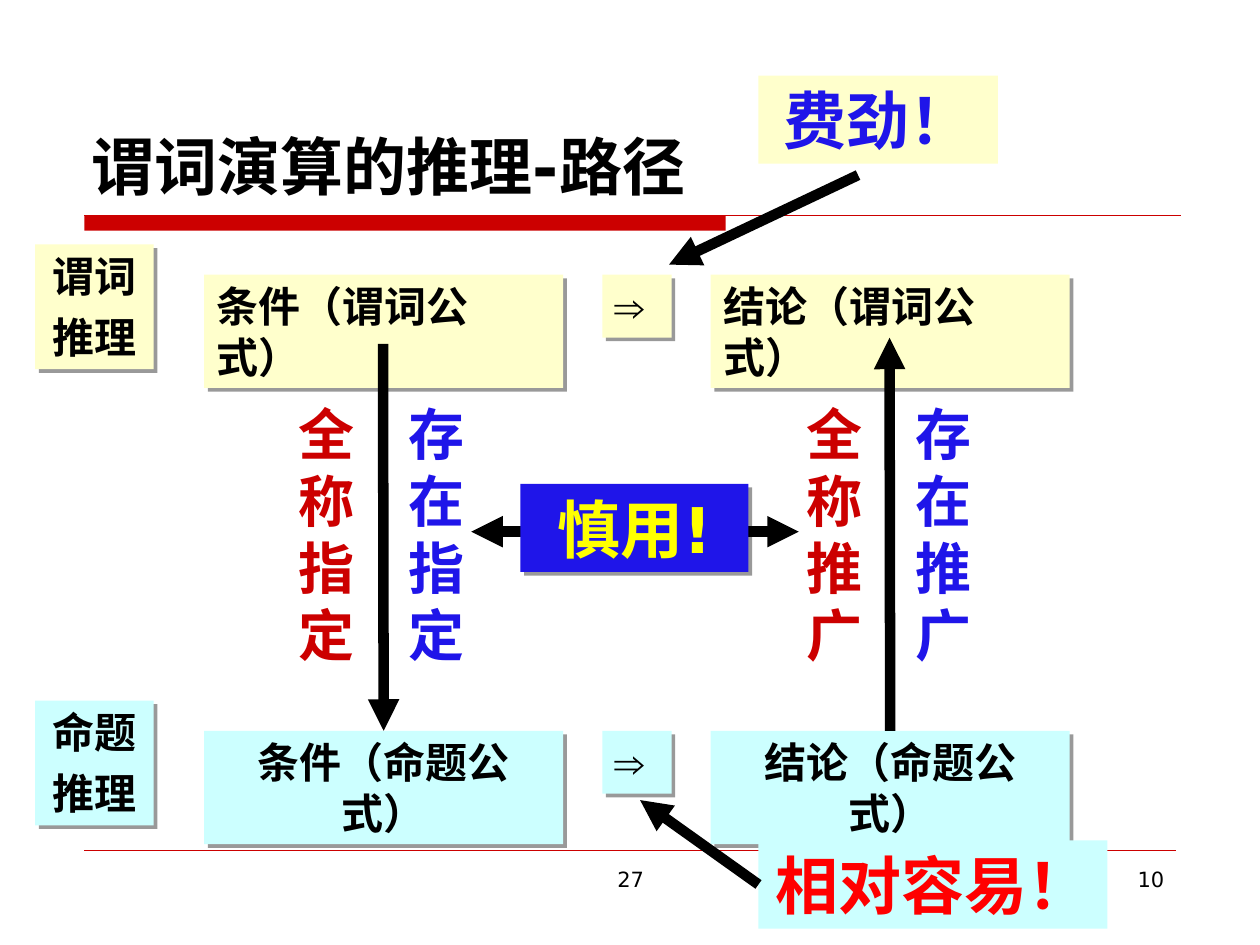
from lxml.etree import SubElement
from pptx import Presentation
from pptx.dml.color import RGBColor
from pptx.enum.shapes import MSO_CONNECTOR as Connector, MSO_SHAPE as Shape
from pptx.enum.text import MSO_ANCHOR as Anchor, MSO_AUTO_SIZE as AutoSize, PP_ALIGN as Align
from pptx.oxml.ns import qn
from pptx.util import Inches, Pt

THEME = {
    "font": "DejaVu Sans", "symbol_font": "Arial",
    "black": "000000", "red": "CC0000", "bright_red": "FF0000",
    "blue": "1F15E9", "yellow": "FFFF00", "cream": "FFFFCC", "aqua": "CCFFFF",
    "title": 36, "callout": 36, "vertical": 32, "box": 24, "footer": 12,
}

# Content
TITLE = "谓词演算的推理-路径"
BOX_W, BOX_H, SIGN_W, SIGN_H = 2.85, 0.9, 0.55, 0.5
LEFT_X, SIGN_X, RIGHT_X = 1.62, 4.78, 5.64
ROWS = [  # name, fill, alignment, top, side label top, condition, conclusion, side label
    ("predicate", "cream", Align.LEFT, 2.18, 1.94,
     "条件（谓词公式）", "结论（谓词公式）", "谓词\n推理"),
    ("proposition", "aqua", Align.CENTER, 5.8, 5.56,
     "条件（命题公式）", "结论（命题公式）", "命题\n推理"),
]
VERTICALS = [  # text, left, colour
    ("全称指定", 2.24, "red"), ("存在指定", 3.11, "blue"),
    ("全称推广", 6.27, "red"), ("存在推广", 7.13, "blue"),
]
CALLOUTS = [  # name, text, place, fill, text colour
    ("hard", "费劲！", (6.02, 0.6, 1.9, 0.7), "cream", "blue"),
    ("easy", "相对容易！", (6.02, 6.67, 2.77, 0.7), "aqua", "bright_red"),
]
FOOTERS = [("27", (3.42, 6.83, 3.17, 0.52), Align.CENTER),
           ("10", (7.17, 6.83, 2.17, 0.52), Align.RIGHT)]


def color(name):
    return RGBColor.from_string(THEME[name])


def write(shape, text, size, ink="black", align=Align.CENTER, bold=True,
          font="font", gap=0, grow=True):
    frame = shape.text_frame
    frame.text = text
    frame.word_wrap = True
    frame.vertical_anchor = Anchor.TOP
    frame.auto_size = AutoSize.SHAPE_TO_FIT_TEXT if grow else AutoSize.NONE
    for index, para in enumerate(frame.paragraphs):
        para.alignment = align
        if index:
            para.space_before = Pt(gap)
        for span in para.runs:
            span.font.name = THEME[font]
            span.font.size = Pt(THEME[size])
            span.font.bold = bold
            span.font.color.rgb = color(ink)


def add_shadow(shape):
    effects = shape._element.spPr.find(qn("a:effectLst"))
    outer = SubElement(effects, qn("a:outerShdw"), dist=str(Pt(3)), dir="2700000",
                       algn="ctr", rotWithShape="0")
    shade = SubElement(outer, qn("a:srgbClr"), val=THEME["black"])
    SubElement(shade, qn("a:alpha"), val="40000")


def add_box(page, place, fill, shadow=True):
    box = page.shapes.add_shape(Shape.RECTANGLE, *map(Inches, place))
    box.fill.solid()
    box.fill.fore_color.rgb = color(fill)
    box.line.fill.background()
    box.shadow.inherit = False
    if shadow:
        add_shadow(box)
    return box


def add_line(page, start, end, width=6, ink="black", heads=()):
    line = page.shapes.add_connector(Connector.STRAIGHT, *map(Inches, start + end))
    line.line.width = Pt(width)
    line.line.color.rgb = color(ink)
    for head in heads:
        SubElement(line.line._get_or_add_ln(), qn("a:" + head), type="triangle")
    SubElement(line._element.spPr, qn("a:effectLst"))
    return line


def main():
    deck = Presentation()
    deck.slide_width, deck.slide_height = Inches(10), Inches(7.5)
    page = deck.slides.add_slide(deck.slide_layouts[5])

    # Title, rules and footers
    title = page.shapes.title
    title.left, title.top, title.width, title.height = map(Inches, (0.63, 0.33, 8.75, 1.33))
    write(title, TITLE, "title", align=Align.LEFT, grow=False)
    title.text_frame.vertical_anchor = Anchor.BOTTOM
    add_box(page, (0.67, 1.71, 5.09, 0.12), "red", shadow=False)
    add_line(page, (0.67, 1.71), (9.37, 1.71), 0.75, "red")
    add_line(page, (0.67, 6.75), (9.33, 6.75), 0.25, "red")
    for text, place, align in FOOTERS:
        footer = page.shapes.add_textbox(*map(Inches, place))
        write(footer, text, "footer", align=align, bold=False, grow=False)

    # Predicate and proposition rows
    boxes = {}
    for name, fill, align, top, side_top, condition, conclusion, side in ROWS:
        for part, text, left in (("condition", condition, LEFT_X),
                                 ("conclusion", conclusion, RIGHT_X)):
            box = add_box(page, (left, top, BOX_W, BOX_H), fill)
            write(box, text, "box", align=align)
            boxes[name, part] = box
        sign = add_box(page, (SIGN_X, top, SIGN_W, SIGN_H), fill)
        write(sign, "⇒", "box", align=Align.LEFT, font="symbol_font")
        label = add_box(page, (0.28, side_top, 0.94, 0.99), fill)
        write(label, side, "box", gap=6)

    # Rules written downwards beside the long arrows
    for text, left, ink in VERTICALS:
        column = page.shapes.add_textbox(*map(Inches, (left, 3.12, 0.71, 2.24)))
        write(column, text, "vertical", ink)

    # Callouts
    for name, text, place, fill, ink in CALLOUTS:
        boxes[name] = add_box(page, place, fill, shadow=False)
        write(boxes[name], text, "callout", ink)

    # Arrows
    down = add_line(page, (3.04, 2.73), (3.04, 5.8), heads=["tailEnd"])
    down.end_connect(boxes["proposition", "condition"], 0)
    up = add_line(page, (7.06, 5.8), (7.06, 2.68), heads=["tailEnd"])
    up.begin_connect(boxes["proposition", "conclusion"], 0)
    add_line(page, (6.81, 1.39), (5.31, 2.1), heads=["tailEnd"])
    easy = add_line(page, (6.02, 7.02), (5.08, 6.35), heads=["tailEnd"])
    easy.begin_connect(boxes["easy"], 1)
    add_line(page, (6.34, 4.22), (3.74, 4.22), heads=["headEnd", "tailEnd"])

    # Warning over the double arrow
    warning = add_box(page, (4.13, 3.84, 1.81, 0.7), "blue")
    write(warning, "慎用!", "callout", "yellow")

    deck.save("out.pptx")


if __name__ == "__main__":
    main()
